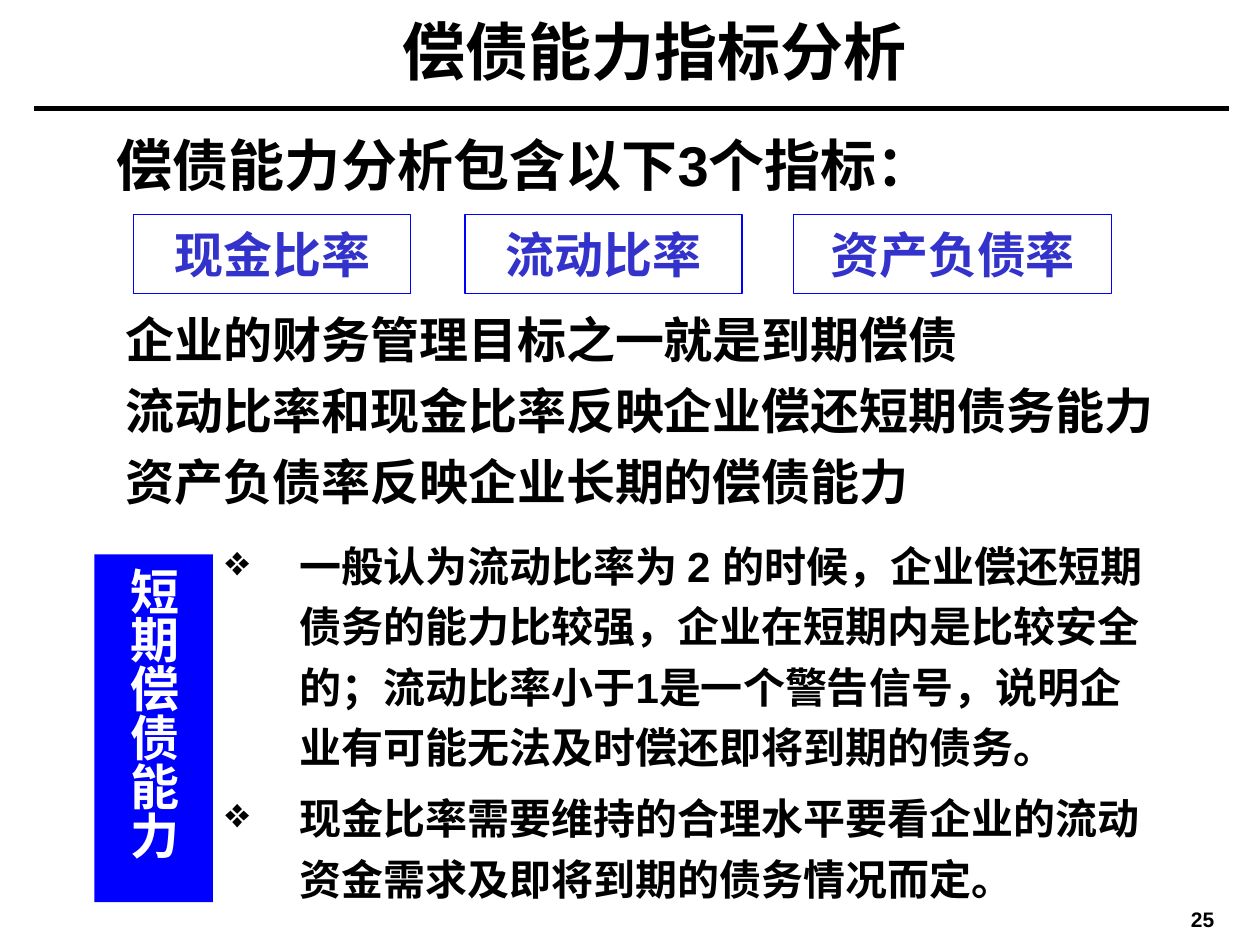
from lxml import etree
from pptx import Presentation
from pptx.dml.color import RGBColor
from pptx.enum import shapes, text
from pptx.oxml import ns
from pptx.util import Inches, Pt

BLACK = RGBColor(0x00, 0x00, 0x00)
WHITE = RGBColor(0xFF, 0xFF, 0xFF)
BLUE = RGBColor(0x00, 0x00, 0xFF)
INDIGO = RGBColor(0x33, 0x33, 0xCC)
SERIF, SANS = "Times New Roman", "Arial"
CENTER = text.PP_ALIGN.CENTER
MIDDLE = text.MSO_ANCHOR.MIDDLE


def write(frame, lines, size, font, color=BLACK, align=None, before=0):
    """Fill a text frame with bold paragraphs of one style."""
    frame.text = "\n".join(lines)
    for paragraph in frame.paragraphs:
        paragraph.alignment = align
        paragraph.space_before = Pt(before)
        for run in paragraph.runs:
            run.font.size = Pt(size)
            run.font.name = font
            run.font.bold = True
            run.font.color.rgb = color


def add_text(slide, box, lines, size, font, **style):
    frame = slide.shapes.add_textbox(*map(Inches, box)).text_frame
    frame.word_wrap = True
    write(frame, lines, size, font, **style)
    return frame


def add_label(slide, box, label, color, fill=None, line=None):
    """Rectangle with one centred, unwrapped label."""
    rect = slide.shapes.add_shape(shapes.MSO_SHAPE.RECTANGLE, *map(Inches, box))
    rect.shadow.inherit = False
    if fill is None:
        rect.fill.background()
    else:
        rect.fill.solid()
        rect.fill.fore_color.rgb = fill
    if line is None:
        rect.line.fill.background()
    else:
        rect.line.color.rgb = line
        rect.line.width = Pt(0.75)
    frame = rect.text_frame
    frame.word_wrap = False
    frame.vertical_anchor = MIDDLE
    write(frame, [label], 28, SERIF, color, CENTER)
    return frame


def add_bullets(frame, indent):
    for paragraph in frame.paragraphs:
        paragraph.line_spacing = 1.2
        properties = paragraph._p.get_or_add_pPr()
        properties.set("marL", str(indent))
        properties.set("indent", str(-indent))
        bullet_color = etree.SubElement(properties, ns.qn("a:buClr"))
        etree.SubElement(bullet_color, ns.qn("a:srgbClr"), val=str(BLACK))
        etree.SubElement(properties, ns.qn("a:buChar"), char="❖")


def add_header(slide, left, top, width, height):
    add_text(slide, (left + 1.58, top, 6.69, 0.7), ["偿债能力指标分析"],
             36, SERIF, align=CENTER, before=22.5)
    bottom = Inches(top + height)
    rule = slide.shapes.add_connector(
        shapes.MSO_CONNECTOR.STRAIGHT,
        Inches(left), bottom, Inches(left + width), bottom)
    rule.line.color.rgb = BLACK
    rule.line.width = Pt(3)
    etree.SubElement(rule._element.spPr, ns.qn("a:effectLst"))


def add_indicators(slide, left, top, width):
    add_text(slide, (left, top, width, 0.64), ["偿债能力分析包含以下3个指标："],
             32, SANS, before=20)
    indicators = [("现金比率", 0.23, 2.2), ("流动比率", 2.86, 2.2),
                  ("资产负债率", 5.47, 2.52)]
    for label, offset, label_width in indicators:
        add_label(slide, (left + offset, top + 0.71, label_width, 0.63),
                  label, INDIGO, line=BLUE)


def add_explanation(slide, *box):
    add_text(slide, box, ["企业的财务管理目标之一就是到期偿债",
                          "流动比率和现金比率反映企业偿还短期债务能力",
                          "资产负债率反映企业长期的偿债能力"],
             28, SERIF, before=7)


def add_short_term(slide, left, top, width, height):
    # Bulleted criteria
    label_width = 0.94
    criteria = add_text(
        slide, (left + label_width, top, width - label_width, height),
        ["一般认为流动比率为 2 的时候，企业偿还短期债务的能力比较强，"
         "企业在短期内是比较安全的；流动比率小于1是一个警告信号，"
         "说明企业有可能无法及时偿还即将到期的债务。",
         "现金比率需要维持的合理水平要看企业的流动资金需求及即将到期的债务情况而定。"],
        24, SANS, before=6)
    add_bullets(criteria, Inches(0.59))

    # Vertical side label
    side = add_label(slide, (left, top + 0.24, label_width, 2.76),
                     "短期偿债能力", WHITE, fill=BLUE)
    side.margin_left = side.margin_right = Inches(0.05)
    side.margin_top = side.margin_bottom = Inches(0.1)
    side._txBody.bodyPr.set("vert", "eaVert")


def add_page_number(slide, *box):
    frame = add_text(slide, box, ["25"], 12, SANS, align=CENTER)
    frame.vertical_anchor = MIDDLE
    frame.margin_top = frame.margin_bottom = 0


def main():
    deck = Presentation()
    deck.slide_width, deck.slide_height = Inches(10), Inches(7.5)
    slide = deck.slides.add_slide(deck.slide_layouts[6])
    add_header(slide, 0.27, 0.05, 9.48, 0.81)
    add_indicators(slide, 0.83, 0.99, 7.01)
    add_explanation(slide, 0.9, 2.41, 8.43, 1.7)
    add_short_term(slide, 0.75, 4.16, 8.5, 3.07)
    add_page_number(slide, 9.21, 7.21, 0.67, 0.17)
    deck.save("out.pptx")


if __name__ == "__main__":
    main()
